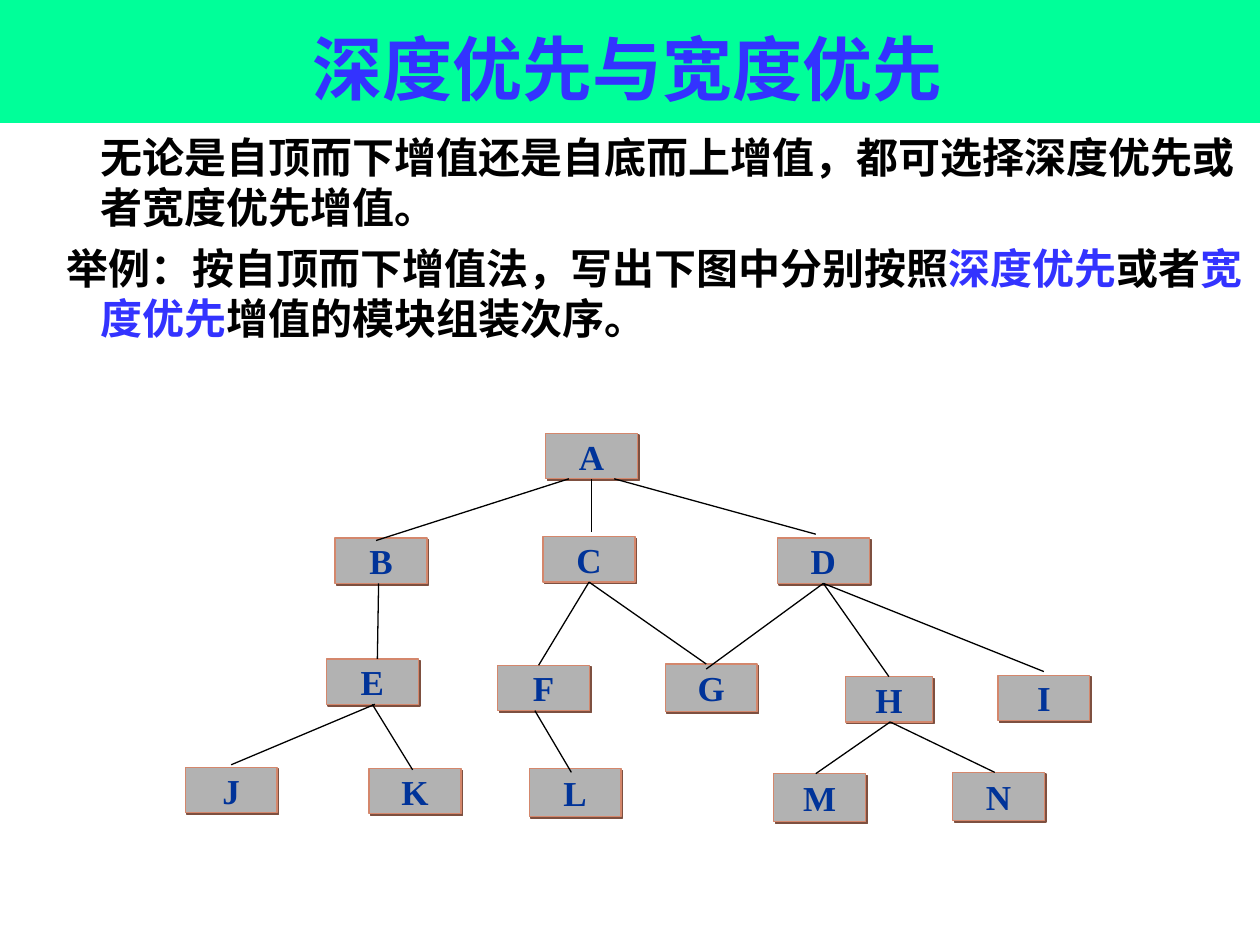
import pptx
import pptx.util
import pptx.dml.color
import pptx.enum.text
import pptx.enum.shapes
import pptx.oxml
import pptx.oxml.ns
import lxml.etree

HUES = {
    "band": "00FF99", "blue": "3333FF", "ink": "000000", "node": "B2B2B2",
    "edge": "D4876C", "shade": "7E5040", "name": "003399",
}
WIDE, HIGH = 10, 7.5
COLS, ROWS = 72, 31
NODES = {
    "A": (29.3, 0.4, 7.3, 3.6), "B": (12.6, 8.7, 7.3, 3.6),
    "C": (29.1, 8.6, 7.3, 3.6), "D": (47.7, 8.7, 7.3, 3.6),
    "E": (11.9, 18.3, 7.3, 3.6), "F": (25.5, 18.8, 7.3, 3.6),
    "G": (38.8, 18.7, 7.3, 3.8), "H": (53.1, 19.7, 6.9, 3.6),
    "I": (65.2, 19.6, 7.3, 3.6), "J": (0.7, 26.9, 7.3, 3.6),
    "K": (15.3, 27, 7.3, 3.6), "L": (28, 27, 7.3, 3.8),
    "M": (47.4, 27.4, 7.3, 3.8), "N": (61.6, 27.3, 7.3, 3.8),
}
LINKS = [
    ("A", "B", -1.8, -0.4, 0.2), ("A", "C", 0, 0.2, -0.4),
    ("A", "D", 1.8, -0.6, -0.3), ("B", "E", -0.2, 0.4, 0),
    ("C", "F", 0, -0.4, 0), ("C", "G", 0, -0.4, 0),
    ("D", "G", 0, -0.4, 0.4), ("D", "H", 0, 0, 0),
    ("D", "I", 0, 0, -0.3), ("E", "J", 0.2, 0, -0.2),
    ("E", "K", 0, -0.2, 0.1), ("F", "L", -0.7, -0.3, 0.3),
    ("H", "M", 0.1, -0.3, 0), ("H", "N", 0.1, -0.3, 0),
]


def hue(key):
    """Return a named colour."""
    return pptx.dml.color.RGBColor.from_string(HUES[key])


def inch(*nums):
    """Turn numbers into lengths."""
    return [pptx.util.Inches(num) for num in nums]


def place(shape, box):
    """Move a shape into a box."""
    shape.left, shape.top, shape.width, shape.height = inch(*box)


def child(host, tag, **attrs):
    """Add an XML child to an element."""
    node = lxml.etree.SubElement(host, pptx.oxml.ns.qn(tag))
    for key, value in attrs.items():
        node.set(key, str(value))
    return node


def write(para, text, size=24, face="Arial Narrow", tint="ink"):
    """Add a formatted bold run to a paragraph."""
    run = para.add_run()
    run.text = text
    font = run.font
    font.size, font.name, font.bold = pptx.util.Pt(size), face, True
    font.color.rgb = hue(tint)
    child(font._element, "a:ea", typeface=face)


def head(slide, box):
    """Place the title on its band."""
    left, top, wide, high = box
    band = slide.shapes.add_shape(
        pptx.enum.shapes.MSO_SHAPE.RECTANGLE, *inch(*box))
    band.shadow.inherit = False
    band.fill.solid()
    band.fill.fore_color.rgb = hue("band")
    band.line.fill.background()
    slide.shapes._spTree.insert(2, band._element)
    title = slide.shapes.title
    place(title, (left + wide * 0.088, top + high * 0.17,
                  wide * 0.82, high * 0.76))
    frame = title.text_frame
    frame.auto_size = pptx.enum.text.MSO_AUTO_SIZE.NONE
    frame.vertical_anchor = pptx.enum.text.MSO_ANCHOR.MIDDLE
    para = frame.paragraphs[0]
    para.alignment = pptx.enum.text.PP_ALIGN.CENTER
    write(para, "深度优先与宽度优先", size=40, face="Noto Sans CJK SC", tint="blue")


def body(slide, box):
    """Fill the body with the two paragraphs."""
    holder = slide.placeholders[1]
    place(holder, box)
    frame = holder.text_frame
    frame.auto_size = pptx.enum.text.MSO_AUTO_SIZE.NONE
    items = [
        (0, 0, [("无论是自顶而下增值还是自底而上增值，都可选择深度优先或者宽度优先增值。", "ink")]),
        (-0.27, 6, [("举例：按自顶而下增值法，写出下图中分别按照", "ink"),
                    ("深度优先", "blue"), ("或者", "ink"),
                    ("宽度优先", "blue"), ("增值的模块组装次序。", "ink")]),
    ]
    for num, (dent, gap, runs) in enumerate(items):
        para = frame.add_paragraph() if num else frame.paragraphs[0]
        para.level = 1
        para.space_before = pptx.util.Pt(gap)
        props = para._p.get_or_add_pPr()
        props.set("marL", str(pptx.util.Inches(0.7)))
        props.set("indent", str(pptx.util.Inches(dent)))
        child(props, "a:buNone")
        for text, tint in runs:
            write(para, text, tint=tint)


def node(slide, name, box):
    """Draw one module of the tree."""
    shape = slide.shapes.add_shape(
        pptx.enum.shapes.MSO_SHAPE.RECTANGLE, *inch(*box))
    shape.fill.solid()
    shape.fill.fore_color.rgb = hue("node")
    shape.line.color.rgb = hue("edge")
    shape.line.width = pptx.util.Pt(0.75)
    shape.shadow.inherit = False
    glow = shape._element.spPr.find(pptx.oxml.ns.qn("a:effectLst"))
    shade = child(glow, "a:outerShdw", dist=pptx.util.Pt(1.4),
                  dir=45 * 60000, algn="ctr", rotWithShape=0)
    child(shade, "a:srgbClr", val=HUES["shade"])
    frame = shape.text_frame
    frame.word_wrap = False
    frame.vertical_anchor = pptx.enum.text.MSO_ANCHOR.MIDDLE
    para = frame.paragraphs[0]
    para.alignment = pptx.enum.text.PP_ALIGN.CENTER
    write(para, name, size=20, face="Times New Roman", tint="name")


def link(slide, start, end):
    """Draw a line between two points."""
    line = slide.shapes.add_connector(
        pptx.enum.shapes.MSO_CONNECTOR.STRAIGHT, *inch(*start, *end))
    line.line.color.rgb = hue("ink")
    line.line.width = pptx.util.Pt(0.75)
    child(line._element.spPr, "a:effectLst")


def tree(slide, box):
    """Draw the module tree on a grid inside the box."""
    left, top, wide, high = box
    col, row = wide / COLS, high / ROWS

    def spot(x, y):
        """Return the point at a column and row."""
        return left + x * col, top + y * row

    for name, (x, y, w, h) in NODES.items():
        node(slide, name, (*spot(x, y), w * col, h * row))
    for high_end, low_end, out, into, drop in LINKS:
        x, y, w, h = NODES[high_end]
        start = spot(x + w / 2 + out, y + h)
        x, y, w, h = NODES[low_end]
        link(slide, start, spot(x + w / 2 + into, y + drop))


def main():
    """Build and save the slide."""
    deck = pptx.Presentation()
    deck.slide_width, deck.slide_height = inch(WIDE, HIGH)
    slide = deck.slides.add_slide(deck.slide_layouts[1])
    head(slide, (0, 0, WIDE, HIGH * 0.13))
    body(slide, (0, HIGH * 0.132, WIDE, HIGH * 0.285))
    tree(slide, (1.4, 3.4, 7.2, 3.1))
    deck.save("out.pptx")


if __name__ == "__main__":
    main()
